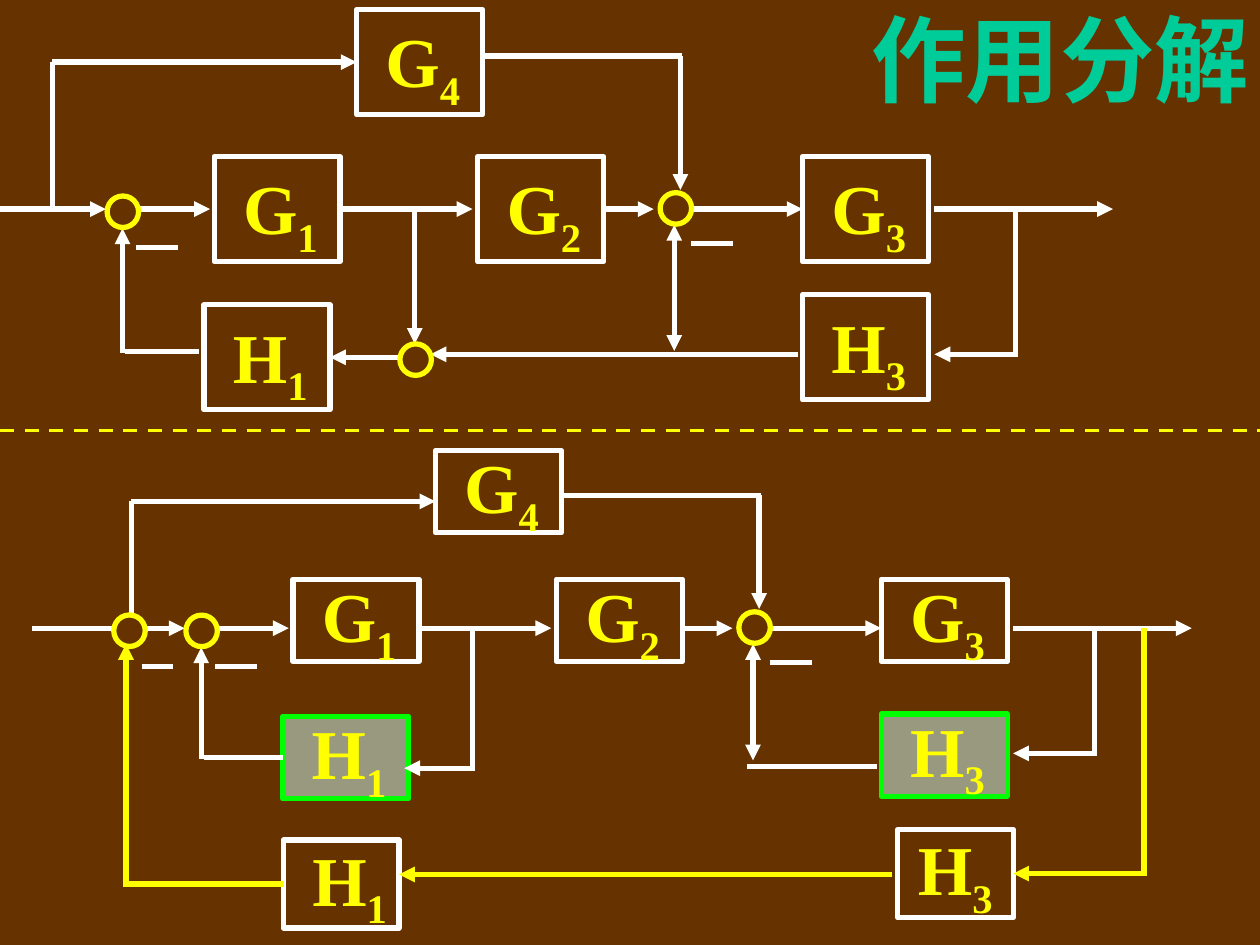
import pptx
import pptx.dml.color
import pptx.enum.dml
import pptx.enum.shapes
import pptx.enum.text
import pptx.oxml
import pptx.oxml.ns
import pptx.util
from dataclasses import dataclass

Pt = pptx.util.Pt
NS = pptx.oxml.ns.nsdecls("a")
KIND = pptx.enum.shapes.MSO_SHAPE


@dataclass
class Theme:
    back: str = "663300"
    wire: str = "FFFFFF"
    mark: str = "FFFF00"
    title: str = "00CC99"
    edge: str = "00FF00"
    tint: str = "CCFFFF"
    font: str = "Times New Roman"
    big: int = 54
    sign: int = 40
    line: int = 3


@dataclass
class Plan:
    """Sizes of one diagram, measured from its main line."""
    high: int      # block height
    top: int       # top of the main blocks
    rise: int      # bypass line
    cap: float     # top of G4
    left: int      # start of the input line
    fall: int      # feedback line of H3
    reach: int     # lower end of the two-way arrow
    drop: int      # text inset at the top
    inner: tuple   # H1 top, its output line
    shade: bool    # tinted feedback blocks


T = Theme()


def rgb(code):
    return pptx.dml.color.RGBColor.from_string(code)


def add_xml(node, text):
    node.append(pptx.oxml.parse_xml(text))


def write(par, text, size, color):
    run = par.add_run()
    run.text = text
    run.font.name, run.font.size, run.font.bold = T.font, Pt(size), True
    run.font.color.rgb = rgb(color)
    return run


def outline(shape, color):
    shape.shadow.inherit = False
    shape.line.color.rgb = rgb(color)
    shape.line.width = Pt(T.line)


def block(slide, name, x, y, w, h, inset=16.5, drop=0, shade=False):
    """Labelled block; the second letter of its name is a subscript."""
    box = slide.shapes.add_shape(KIND.RECTANGLE, Pt(x), Pt(y), Pt(w), Pt(h))
    outline(box, T.edge if shade else T.wire)
    if shade:
        box.fill.solid()
        box.fill.fore_color.rgb = rgb(T.tint)
        tint = box.fill._xPr.find(".//" + pptx.oxml.ns.qn("a:srgbClr"))
        add_xml(tint, f'<a:alpha {NS} val="50000"/>')
    else:
        box.fill.background()
    frame = box.text_frame
    frame.word_wrap = False
    frame.vertical_anchor = pptx.enum.text.MSO_ANCHOR.MIDDLE
    frame.margin_left, frame.margin_top = Pt(inset), Pt(drop)
    frame.margin_right = frame.margin_bottom = 0
    par = frame.paragraphs[0]
    par.alignment = pptx.enum.text.PP_ALIGN.LEFT
    write(par, name[0], T.sign, T.mark)
    write(par, name[1], T.sign, T.mark).font._element.set("baseline", "-25000")
    return box


def ring(slide, x, y):
    """Summing point."""
    dot = slide.shapes.add_shape(KIND.OVAL, Pt(x), Pt(y), Pt(18), Pt(18))
    outline(dot, T.mark)
    dot.fill.solid()
    dot.fill.fore_color.rgb = rgb(T.back)


def port(box, site, y):
    """Left (1) or right (3) side of a block: joined when y is its middle."""
    if abs((box.top + box.height / 2) / 12700 - y) < 1:
        return box, site
    return (box.left + (box.width if site == 3 else 0)) / 12700, y


def wire(slide, a, b, ends="", color=T.wire, width=T.line):
    """Line from a to b; ends names the arrowheads, h at a and t at b."""
    glue = [hasattr(p[0], "left") for p in (a, b)]
    (ax, ay), (bx, by) = b if glue[0] else a, a if glue[1] else b
    line = slide.shapes.add_connector(
        pptx.enum.shapes.MSO_CONNECTOR.STRAIGHT, Pt(ax), Pt(ay), Pt(bx), Pt(by))
    if glue[0]:
        line.begin_connect(*a)
    if glue[1]:
        line.end_connect(*b)
    line.line.color.rgb = rgb(color)
    line.line.width = Pt(width)
    for key, tag in (("h", "headEnd"), ("t", "tailEnd")):
        if key in ends:
            add_xml(line.line._get_or_add_ln(), f'<a:{tag} {NS} type="triangle"/>')
    add_xml(line._element.spPr, f"<a:effectLst {NS}/>")
    return line


def diagram(slide, x, y, plan):
    """Parts shared by both diagrams; x, y is the origin of the main line."""
    def at(dx, dy):
        return x + dx, y + dy

    def put(name, dx, dy, shade=False):
        return block(slide, name, *at(dx, dy), 72, plan.high,
                     drop=plan.drop, shade=shade)

    def link(a, b, ends=""):
        wire(slide, a, b, ends)

    # Blocks
    g1, g2, g3 = [put(n, dx, plan.top) for n, dx in
                  (("G1", 122.4), ("G2", 273), ("G3", 458.6))]
    g4 = put("G4", 203.8, plan.cap)
    h3 = put("H3", 458.6, 49, plan.shade)
    h1 = put("H1", 116.6, plan.inner[0], plan.shade)

    # Main line
    link(at(plan.left, 0), at(60.5, 0), "t")
    link(at(78, 0), at(120, 0), "t")
    link(port(g1, 3, y), at(270, 0), "t")
    link(port(g2, 3, y), at(373.5, 0), "t")
    link(at(395, 0), port(g3, 1, y), "t")
    link(at(534, 0), at(636, 0), "t")

    # Bypass through G4
    link(at(30, 0), at(30, plan.rise))
    link(at(30, plan.rise), port(g4, 1, y + plan.rise), "t")
    out = plan.rise - 3.5
    link(port(g4, 3, y + out), at(390, out))
    link(at(388.8, out), at(388.8, -11), "t")

    # Feedback through H3 and H1
    link(at(580.3, 0), at(580.3, plan.fall))
    link(at(534, plan.fall), at(581.8, plan.fall), "h")
    link(at(385.3, 9), at(385.3, plan.reach), "ht")
    back = plan.inner[1]
    link(at(70, 11), at(70, back + 1), "h")
    end = port(h1, 1, y + back) if plan.shade else at(114, back)
    link(at(71.5, back), end)

    # Summing points and minus signs
    ring(slide, *at(61.2, -7.5))
    ring(slide, *at(377.2, -9.4))
    link(at(78, 22), at(102, 22))
    link(at(395, 19.5), at(419, 19.5))
    return h1, h3


def upper(slide, x, y):
    h1, _ = diagram(slide, x, y, Plan(60, -30, -84, -114, 0, 83, 81, 4,
                                      (54.7, 81.5), False))
    mid = y + 84.7
    wire(slide, (x + 237, y), (x + 237, y + 77), "t")
    wire(slide, (x + 246, y + 83), (x + 456, y + 83), "h")
    wire(slide, port(h1, 3, mid), (x + 228, mid), "h")
    ring(slide, x + 228.5, y + 77)


def lower(slide, x, y):
    diagram(slide, x, y, Plan(47, -28, -72.5, -101.5, -27, 71.5, 75.5, 0,
                              (50.5, 74), True))
    # Inner loops
    wire(slide, (x + 225, y), (x + 225, y + 81.5))
    wire(slide, (x + 186, y + 80), (x + 225, y + 80), "h")
    wire(slide, (x + 382, y + 79), (x + 456, y + 79))

    # Outer loop
    h1 = block(slide, "H1", x + 117, y + 121, 66, 50.4)
    h3 = block(slide, "H3", x + 468, y + 115, 66, 50.4, inset=11.5)
    low, mid, far = y + 146.2, y + 140.2, x + 608.8
    for a, b, ends in (
            ((far, y), (far, mid + 1.5), ""),
            (port(h3, 3, mid), (far, mid), "h"),
            ((x + 183, y + 140.7), (x + 465, y + 140.7), "h"),
            ((x + 27, low), port(h1, 1, low), ""),
            ((x + 27, y + 9), (x + 27, low + 1.5), "h")):
        wire(slide, a, b, ends, T.mark)
    ring(slide, x + 20, y - 7.6)
    wire(slide, (x + 36, y + 22), (x + 54, y + 22))


def heading(slide, x, y, w, h):
    title = slide.shapes.title
    title.left, title.top, title.width, title.height = map(Pt, (x, y, w, h))
    frame = title.text_frame
    frame.auto_size = pptx.enum.text.MSO_AUTO_SIZE.NONE
    frame.vertical_anchor = pptx.enum.text.MSO_ANCHOR.MIDDLE
    par = frame.paragraphs[0]
    par.alignment = pptx.enum.text.PP_ALIGN.CENTER
    write(par, "作用分解", T.big, T.title)


def main():
    deck = pptx.Presentation()
    deck.slide_width, deck.slide_height = Pt(720), Pt(540)
    slide = deck.slides.add_slide(deck.slide_layouts[5])
    slide.background.fill.solid()
    slide.background.fill.fore_color.rgb = rgb(T.back)
    heading(slide, 480, -12, 252, 90)
    upper(slide, 0, 119.5)
    rule = wire(slide, (0, 246), (720, 246), color=T.mark, width=2)
    rule.line.dash_style = pptx.enum.dml.MSO_LINE.DASH
    lower(slide, 45, 359)
    deck.save("out.pptx")


if __name__ == "__main__":
    main()
